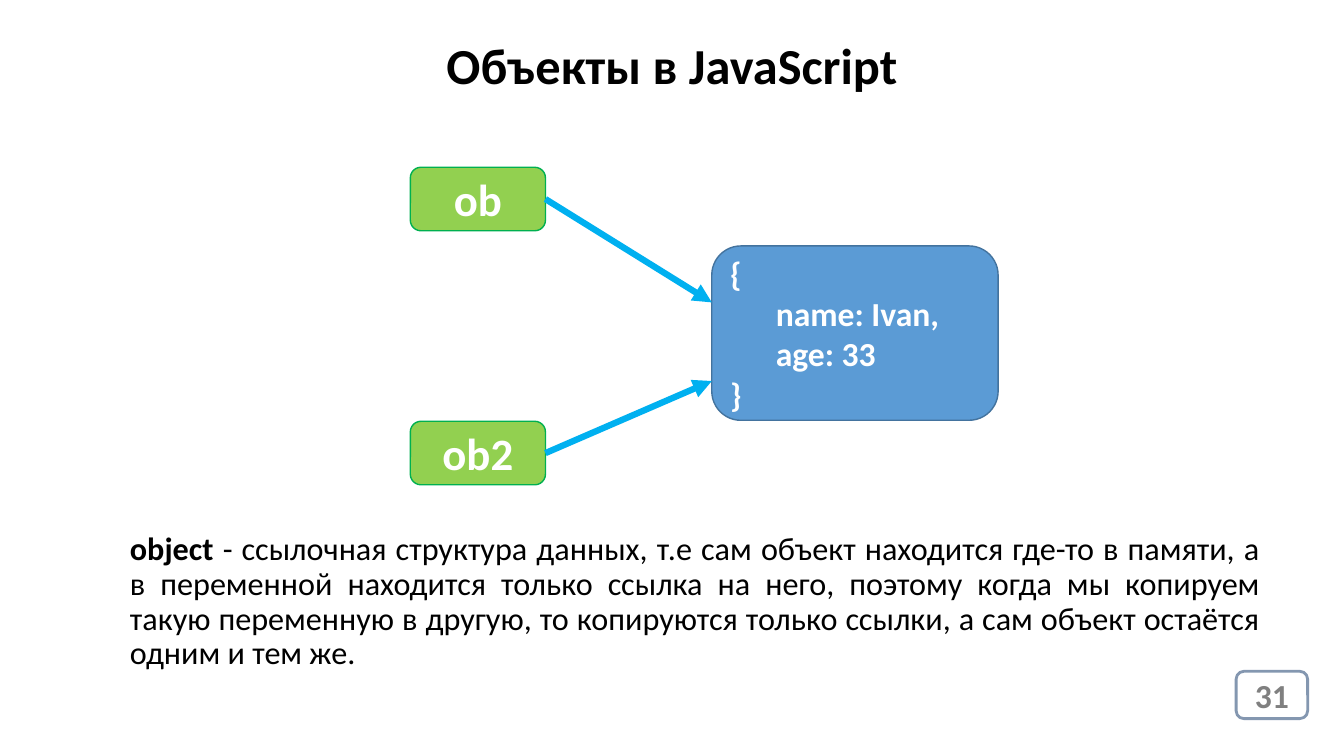
import lxml.etree
import pptx
import pptx.util
import pptx.dml.color
import pptx.enum.shapes
import pptx.enum.text
import pptx.oxml.ns

Inches = pptx.util.Inches
Pt = pptx.util.Pt
ALIGN = pptx.enum.text.PP_ALIGN
KIND = pptx.enum.shapes.MSO_SHAPE
LINK = pptx.enum.shapes.MSO_CONNECTOR

TITLE = "Объекты в JavaScript"
NOTE = [
    ("object", True),
    (" - ссылочная структура данных, т.е сам объект находится где-то в памяти, "
     "а в переменной находится только ссылка на него, поэтому когда мы копируем "
     "такую переменную в другую, то копируются только ссылки, а сам объект "
     "остаётся одним и тем же.", False),
]
CODE = ["{", "      name: Ivan,", "      age: 33", "}"]
PAGE = "31"
# name, top of its box, height at which its arrow meets the object
VARS = [("ob", 1.66, 3.0), ("ob2", 4.18, 3.78)]
VAR_LEFT, VAR_WIDTH, VAR_HEIGHT = 4.07, 1.34, 0.63
OBJ_BOX = (7.06, 2.44, 2.84, 1.73)


def color(value):
    return pptx.dml.color.RGBColor.from_string(value)


def write(frame, lines, size=24, fill="FFFFFF", align=ALIGN.LEFT, gap=1.0):
    """Fill a frame with lines, each a list of (text, bold) runs."""
    frame.word_wrap = True
    frame.auto_size = pptx.enum.text.MSO_AUTO_SIZE.NONE
    frame.vertical_anchor = pptx.enum.text.MSO_ANCHOR.MIDDLE
    for i, runs in enumerate(lines):
        para = frame.add_paragraph() if i else frame.paragraphs[0]
        para.alignment = align
        para.line_spacing = gap
        para.space_before = Pt(0)
        for text, bold in runs:
            run = para.add_run()
            run.text = text
            font = run.font
            font.name, font.size, font.bold = "Calibri", Pt(size), bold
            font.color.rgb = color(fill)


def box(slide, place, fill, edge, width=1):
    shape = slide.shapes.add_shape(KIND.ROUNDED_RECTANGLE, *map(Inches, place))
    shape.shadow.inherit = False
    shape.fill.solid()
    shape.fill.fore_color.rgb = color(fill)
    shape.line.color.rgb = color(edge)
    shape.line.width = Pt(width)
    return shape


def arrow(slide, start, x, y):
    """Draw an arrow from the right side of a shape to a point."""
    link = slide.shapes.add_connector(LINK.STRAIGHT, 0, 0, Inches(x), Inches(y))
    link.begin_connect(start, 3)
    link.line.color.rgb = color("00B0F0")
    link.line.width = Pt(4.5)
    qn = pptx.oxml.ns.qn
    props = link.element.find(qn("p:spPr"))
    lxml.etree.SubElement(props.find(qn("a:ln")), qn("a:tailEnd"),
                          type="triangle")
    lxml.etree.SubElement(props, qn("a:effectLst"))


def main():
    deck = pptx.Presentation()
    deck.slide_width, deck.slide_height = Inches(13.33), Inches(7.5)
    slide = deck.slides.add_slide(deck.slide_layouts[5])

    title = slide.shapes.title
    title.left, title.top = Inches(0), Inches(0.3)
    title.width, title.height = Inches(13.33), Inches(0.67)
    write(title.text_frame, [[(TITLE, True)]], size=36, fill="000000",
          align=ALIGN.CENTER)

    page = box(slide, (12.26, 6.66, 0.71, 0.47), "FFFFFF", "8497B0", 2)
    write(page.text_frame, [[(PAGE, True)]], fill="808080", align=ALIGN.CENTER)

    note = slide.shapes.add_textbox(*map(Inches, (1.19, 5.15, 11.42, 1.65)))
    write(note.text_frame, [NOTE], size=23, fill="000000",
          align=ALIGN.JUSTIFY, gap=0.9)

    obj = box(slide, OBJ_BOX, "5B9BD5", "43739E")
    write(obj.text_frame, [[(line, True)] for line in CODE])

    for name, top, end in VARS:
        var = box(slide, (VAR_LEFT, top, VAR_WIDTH, VAR_HEIGHT),
                  "92D050", "00B050")
        write(var.text_frame, [[(name, True)]], size=32, align=ALIGN.CENTER)
        arrow(slide, var, OBJ_BOX[0], end)

    deck.save("out.pptx")


if __name__ == "__main__":
    main()
